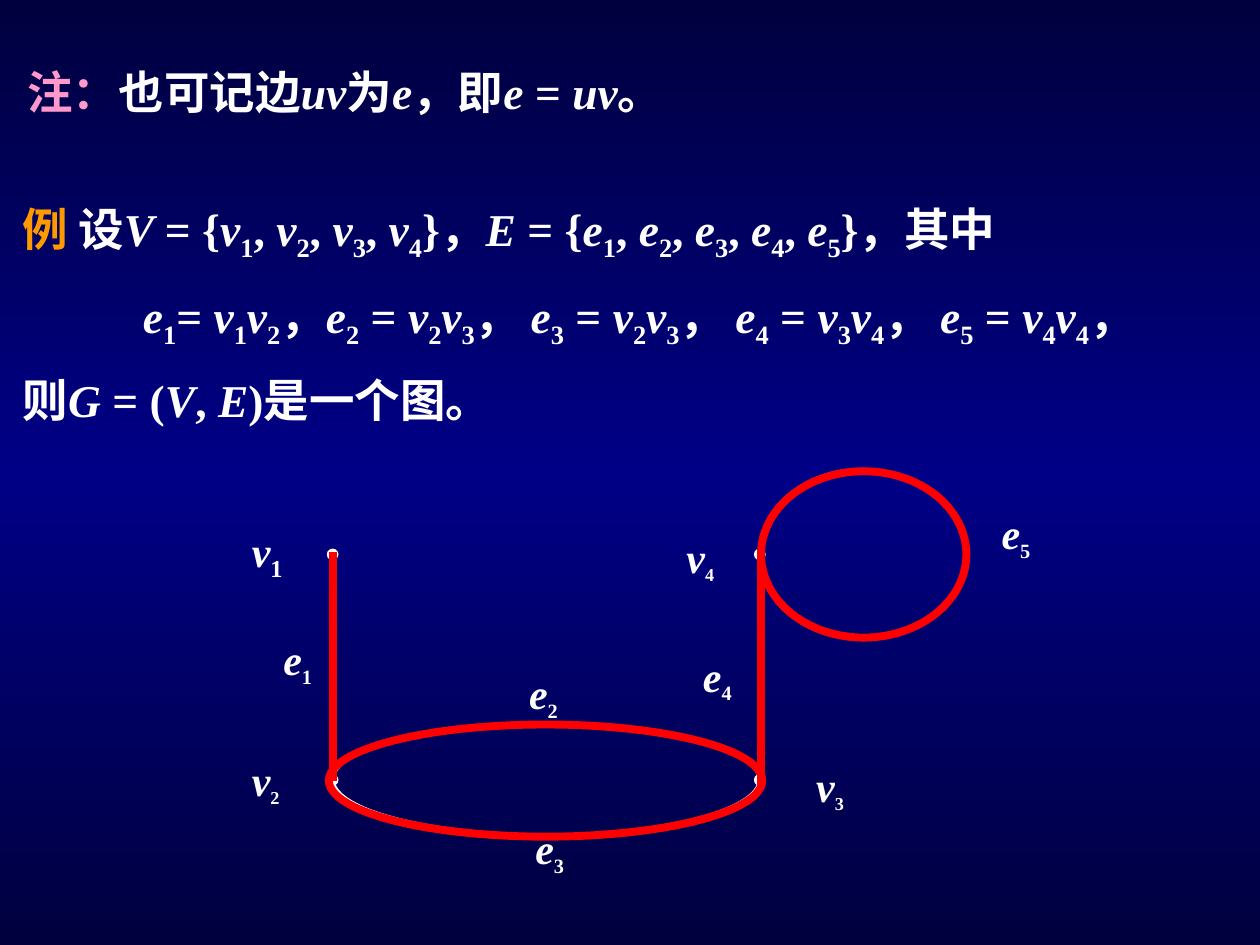
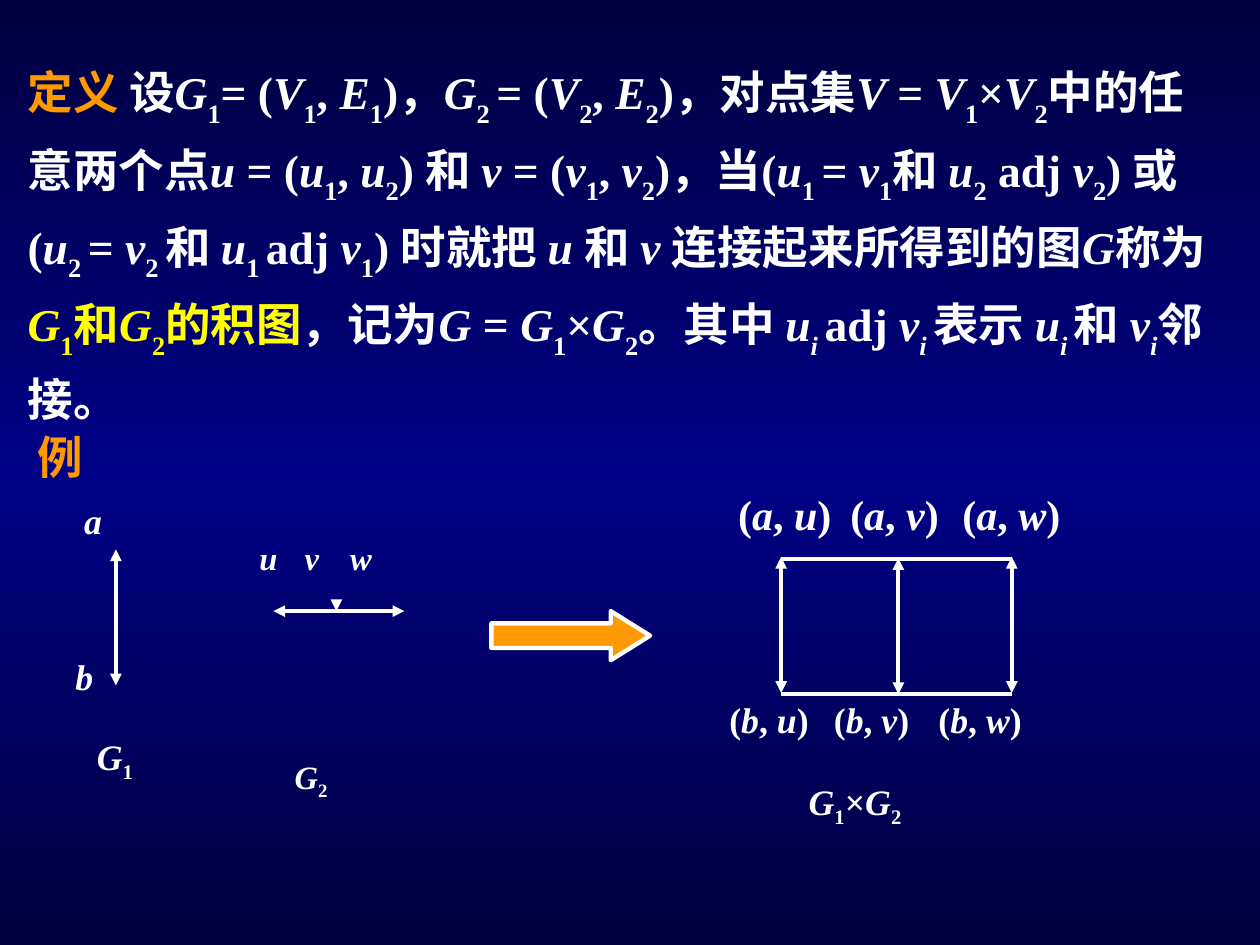
from copy import deepcopy
from dataclasses import dataclass
from itertools import groupby
from typing import Any

from lxml import etree
from pptx import Presentation
from pptx.dml.color import RGBColor
from pptx.enum.shapes import MSO_CONNECTOR, MSO_SHAPE
from pptx.enum.text import PP_ALIGN
from pptx.oxml.ns import qn
from pptx.util import Inches, Pt

NIGHT = RGBColor(0x00, 0x00, 0x3E)
NAVY = RGBColor(0x00, 0x00, 0x86)
WHITE = RGBColor(0xFF, 0xFF, 0xFF)
PINK = RGBColor(0xFF, 0x99, 0xCC)
ORANGE = RGBColor(0xFF, 0x99, 0x00)
YELLOW = RGBColor(0xFF, 0xFF, 0x00)
RED = RGBColor(0xFF, 0x00, 0x00)

LATIN_FONT = "Times New Roman"
CJK_FONT = "Noto Sans CJK SC"
BODY_SIZE = 26

STRAIGHT = MSO_CONNECTOR.STRAIGHT
OVAL = MSO_SHAPE.OVAL
RIGHT_ARROW = MSO_SHAPE.RIGHT_ARROW
CENTER = PP_ALIGN.CENTER


def styled_runs(markup):
    """Split markup into (text, italic, subscript); / and _ toggle the styles."""
    italic = subscript = False
    letters = []
    for letter in markup:
        if letter == "/":
            italic = not italic
        elif letter == "_":
            subscript = not subscript
        else:
            letters.append((letter, italic, subscript))
    for style, group in groupby(letters, key=lambda item: item[1:]):
        yield "".join(item[0] for item in group), *style


def add_runs(paragraph, markup, size, color=WHITE, sub_size=None, drop=-25):
    """Write marked-up mathematics into a paragraph."""
    for text, italic, subscript in styled_runs(markup):
        run = paragraph.add_run()
        run.text = text
        font = run.font
        font.name, font.bold, font.italic = LATIN_FONT, True, italic
        font.size = Pt(sub_size if subscript and sub_size else size)
        font.color.rgb = color
        properties = run._r.get_or_add_rPr()
        etree.SubElement(properties, qn("a:ea")).set("typeface", CJK_FONT)
        if subscript:
            properties.set("baseline", str(drop * 1000))


@dataclass
class Region:
    """A part of a slide whose contents are placed from its left top corner."""

    slide: Any
    left: float
    top: float

    def place(self, x, y):
        """Turn region offsets into slide lengths."""
        return Inches(self.left + x), Inches(self.top + y)

    def text(self, x, y, width, height):
        """Add a wrapping text box and return its text frame."""
        frame = self.slide.shapes.add_textbox(
            *self.place(x, y), Inches(width), Inches(height)).text_frame
        frame.word_wrap = True
        return frame

    def label(self, x, y, markup, size=24, width=1.2, sub_size=None, pitch=None):
        """Add a one-line label; tabs fall at multiples of the pitch."""
        paragraph = self.text(x, y, width, 0.53).paragraphs[0]
        if pitch:
            stops = etree.SubElement(paragraph._p.get_or_add_pPr(), qn("a:tabLst"))
            for column in range(1, markup.count("\t") + 1):
                stop = etree.SubElement(stops, qn("a:tab"))
                stop.set("pos", str(Inches(pitch * column)))
                stop.set("algn", "l")
        add_runs(paragraph, markup, size, sub_size=sub_size)

    def line(self, start, end, color=WHITE, weight=2.25, head=None, tail=None):
        """Add a straight line with optional end marks."""
        connector = self.slide.shapes.add_connector(
            STRAIGHT, *self.place(*start), *self.place(*end))
        connector.line.color.rgb = color
        connector.line.width = Pt(weight)
        stroke = connector.line._get_or_add_ln()
        for tag, mark in (("a:headEnd", head), ("a:tailEnd", tail)):
            if mark:
                etree.SubElement(stroke, qn(tag)).set("type", mark)
        etree.SubElement(connector._element.spPr, qn("a:effectLst"))

    def shape(self, kind, x, y, width, height, color=WHITE, weight=2.25, fill=None):
        """Add an outlined preset shape, hollow unless a fill is given."""
        shape = self.slide.shapes.add_shape(
            kind, *self.place(x, y), Inches(width), Inches(height))
        shape.shadow.inherit = False
        shape.line.color.rgb = color
        shape.line.width = Pt(weight)
        if fill is None:
            shape.fill.background()
        else:
            shape.fill.solid()
            shape.fill.fore_color.rgb = fill
        return shape


def set_background(master):
    """Give every slide the dark blue vertical gradient."""
    fill = master.background.fill
    fill.gradient()
    fill.gradient_angle = 90
    stop_list = master._element.find(".//" + qn("a:gsLst"))
    stop_list.append(deepcopy(stop_list[0]))
    for stop, position, color in zip(
            fill.gradient_stops, (0, 0.5, 1), (NIGHT, NAVY, NIGHT)):
        stop.position = position
        stop.color.rgb = color


def add_note(region):
    """Write the note on naming an edge."""
    paragraph = region.text(0, 0, 8.03, 0.54).paragraphs[0]
    add_runs(paragraph, "注：", BODY_SIZE, PINK)
    add_runs(paragraph, "也可记边/uv/为/e/，即/e /= /uv/。", BODY_SIZE)


def add_graph_example(region):
    """Write the vertex set, edge set and incidences of the example."""
    frame = region.text(0, 0, 9.8, 2.09)
    sets, edges, conclusion = frame.paragraphs[0], frame.add_paragraph(), frame.add_paragraph()
    for paragraph in (sets, edges, conclusion):
        paragraph.line_spacing = 1.4
    add_runs(sets, "例 ", BODY_SIZE, ORANGE)
    vertex_set, edge_set = (
        ", ".join(f"/{name}/_{i}_" for i in range(1, count + 1))
        for name, count in (("v", 4), ("e", 5)))
    add_runs(sets, f"设/V /= {{{vertex_set}}}，/E /= {{{edge_set}}}，其中", BODY_SIZE)
    edges.alignment = CENTER
    edges._p.get_or_add_pPr().set("marL", str(Inches(0.18)))
    add_runs(edges, "/e/_1_=/ v/_1_/v/_2_，", BODY_SIZE)
    ends = ((2, 2, 3), (3, 2, 3), (4, 3, 4), (5, 4, 4))
    add_runs(edges, "， ".join(
        f"/e/_{edge}_ =/ v/_{a}_/v/_{b}_" for edge, a, b in ends) + "，", BODY_SIZE)
    add_runs(conclusion, "则/G /= (/V/,/ E/)是一个图。", BODY_SIZE)


def add_graph(region):
    """Draw the four vertices and five edges, first white and then in red."""
    for x in (0.74, 4.13):
        region.line((x, 0.67), (x, 2.46), head="oval", tail="oval")
    region.shape(OVAL, 0.74, 2.01, 3.39, 0.89)
    region.shape(OVAL, 4.13, 0, 1.63, 1.34)
    region.line((0.74, 0.65), (0.74, 2.47), RED, 4.5)
    region.line((4.14, 0.63), (4.14, 2.5), RED, 4.5)
    region.shape(OVAL, 0.71, 2.02, 3.44, 0.89, RED, 4.5)
    region.shape(OVAL, 4.14, 0.01, 1.63, 1.32, RED, 4.5)
    vertices = ((0, 0.39, 24), (0, 2.21, 18), (4.48, 2.26, 18), (3.45, 0.44, 18))
    for number, (x, y, sub_size) in enumerate(vertices, 1):
        region.label(x, y, f"/v/_{number}_", width=0.54, sub_size=sub_size)
    edges = ((0.25, 1.25), (2.2, 1.52), (2.25, 2.75), (3.58, 1.38), (5.95, 0.25))
    for number, (x, y) in enumerate(edges, 1):
        region.label(x, y, f"/e/_{number}_", width=0.59, sub_size=20)


def add_definition(region):
    """Write the definition of the product of two graphs."""
    paragraph = region.text(0, 0, 9.69, 3.17).paragraphs[0]
    paragraph.line_spacing = 1.2
    opening = (
        "设/G/_1_= (/V/_1_, /E/_1_)，/G/_2 _= (/V/_2_, /E/_2_)，对点集/V /= /V/_1_×/V/_2_"
        "中的任意两个点/u /= (/u/_1_, /u/_2_) 和 /v /= (/v/_1_, /v/_2_)，"
        "当(/u/_1 _= /v/_1_和 /u/_2_ adj/ v/_2_) 或 (/u/_2 _= /v/_2 _和 /u/_1 _adj /v/_1_)"
        " 时就把 /u /和 /v /连接起来所得到的图/G/称为")
    closing = (
        "，记为/G /= /G/_1_×/G/_2_。其中 /u_i _/adj /v_i _/表示 /u_i _/和 /v_i_/邻接。")
    for markup, color in (("定义 ", ORANGE), (opening, WHITE),
                          ("/G/_1_和/G/_2_的积图", YELLOW), (closing, WHITE)):
        add_runs(paragraph, markup, BODY_SIZE, color, drop=-30)


def add_example_heading(region):
    """Write the heading of the example."""
    add_runs(region.text(0, 0, 0.56, 0.54).paragraphs[0], "例", BODY_SIZE, ORANGE)


def add_first_factor(region):
    """Draw the path with two vertices."""
    region.line((0.49, 0.45), (0.49, 1.53), head="triangle", tail="triangle")
    for x, y, markup in ((0.14, 0, "/a/"), (0.07, 1.24, "/b/"), (0.24, 1.87, "/G/_1_")):
        region.label(x, y, markup, 20.4, 0.7)


def add_second_factor(region):
    """Draw the path with three vertices."""
    region.line((1.44, 0.63), (0.4, 0.63), head="triangle", tail="triangle")
    region.line((0.9, 0.62), (0.9, 0.63), tail="triangle")
    region.label(0.19, 0, "/u\tv\tw/", 18.6, 1.6, pitch=0.36)
    region.label(0.47, 1.74, "/G/_2_", 18.6, 0.7)


def add_product(region):
    """Draw the product graph as a ladder with three rungs."""
    for x, y in ((0.94, 0.59), (1.87, 0.6), (2.77, 0.59)):
        region.line((x, y), (x, y + 1.08), head="triangle", tail="triangle")
    for y in (0.61, 1.68):
        region.line((0.94, y), (2.77, y))
    for name, x, y, size, pitch in (("a", 0.5, 0, 24, 0.89), ("b", 0.43, 1.66, 20.4, 0.83)):
        pairs = "\t".join(f"(/{name}/,/ {other}/)" for other in "uvw")
        region.label(x, y, pairs, size, 3.5, pitch=pitch)
    region.label(1.06, 2.31, "/G/_1_×/G/_2_", 20.4, 1.5)


def add_product_arrow(region):
    """Draw the arrow from the factors to their product."""
    arrow = region.shape(RIGHT_ARROW, 0, 0, 1.26, 0.39, WHITE, 2.5, ORANGE)
    arrow.adjustments[0] = 0.5
    arrow.adjustments[1] = 0.8


def build_graph_slide(slide):
    """Build the slide on the example of a graph."""
    add_note(Region(slide, 0.12, 0.46))
    add_graph(Region(slide, 1.9, 3.73))
    add_graph_example(Region(slide, 0.08, 1.35))


def build_product_slide(slide):
    """Build the slide on the product of two graphs."""
    add_definition(Region(slide, 0.12, 0.36))
    add_first_factor(Region(slide, 0.43, 3.91))
    add_second_factor(Region(slide, 1.77, 4.22))
    add_product(Region(slide, 5.26, 3.83))
    add_example_heading(Region(slide, 0.2, 3.36))
    add_product_arrow(Region(slide, 3.9, 4.85))


def main():
    """Build and save the presentation."""
    deck = Presentation()
    deck.slide_width, deck.slide_height = Inches(10), Inches(7.5)
    set_background(deck.slide_master)
    blank_layout = deck.slide_layouts[6]
    for build in (build_graph_slide, build_product_slide):
        build(deck.slides.add_slide(blank_layout))
    deck.save("out.pptx")


if __name__ == "__main__":
    main()
